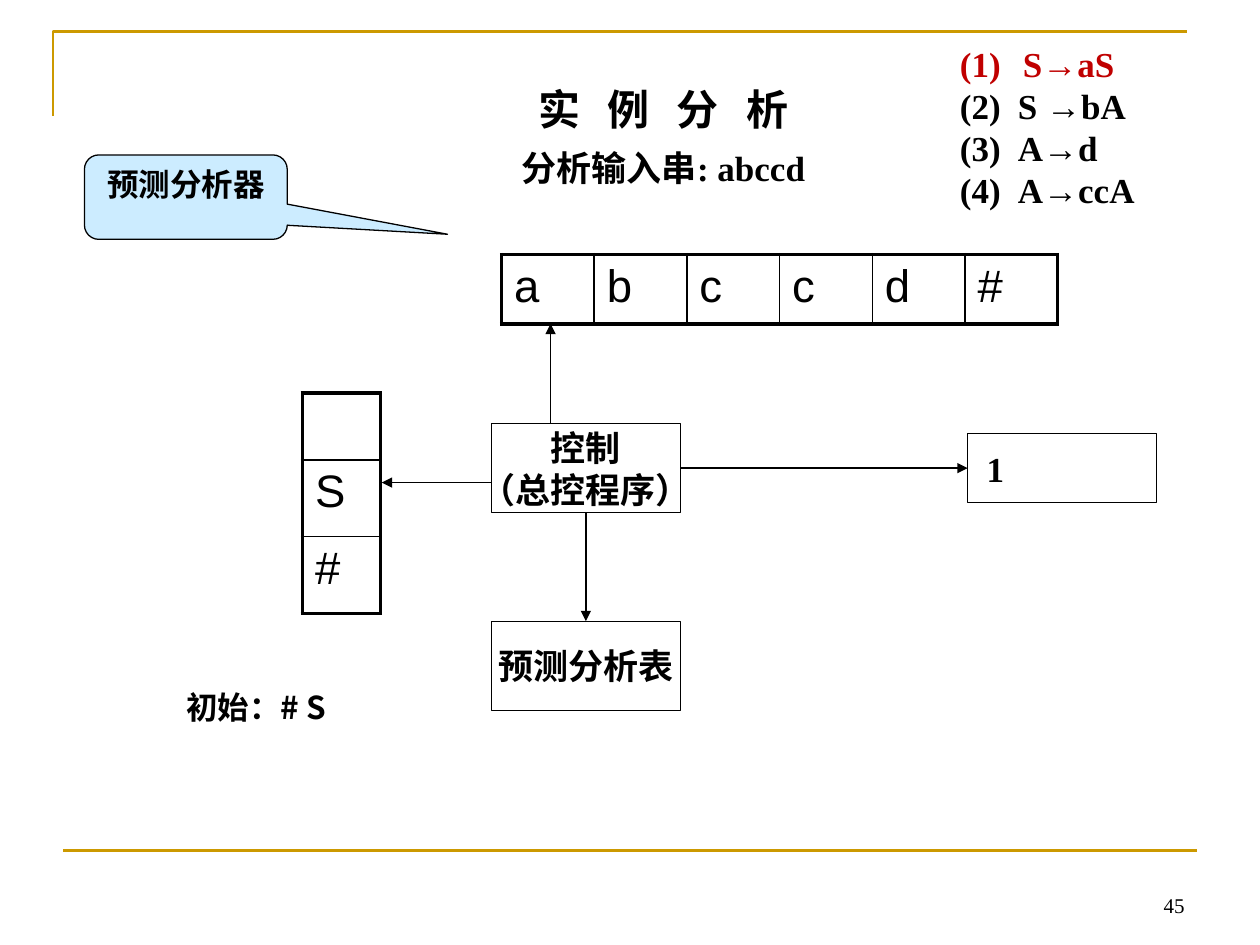
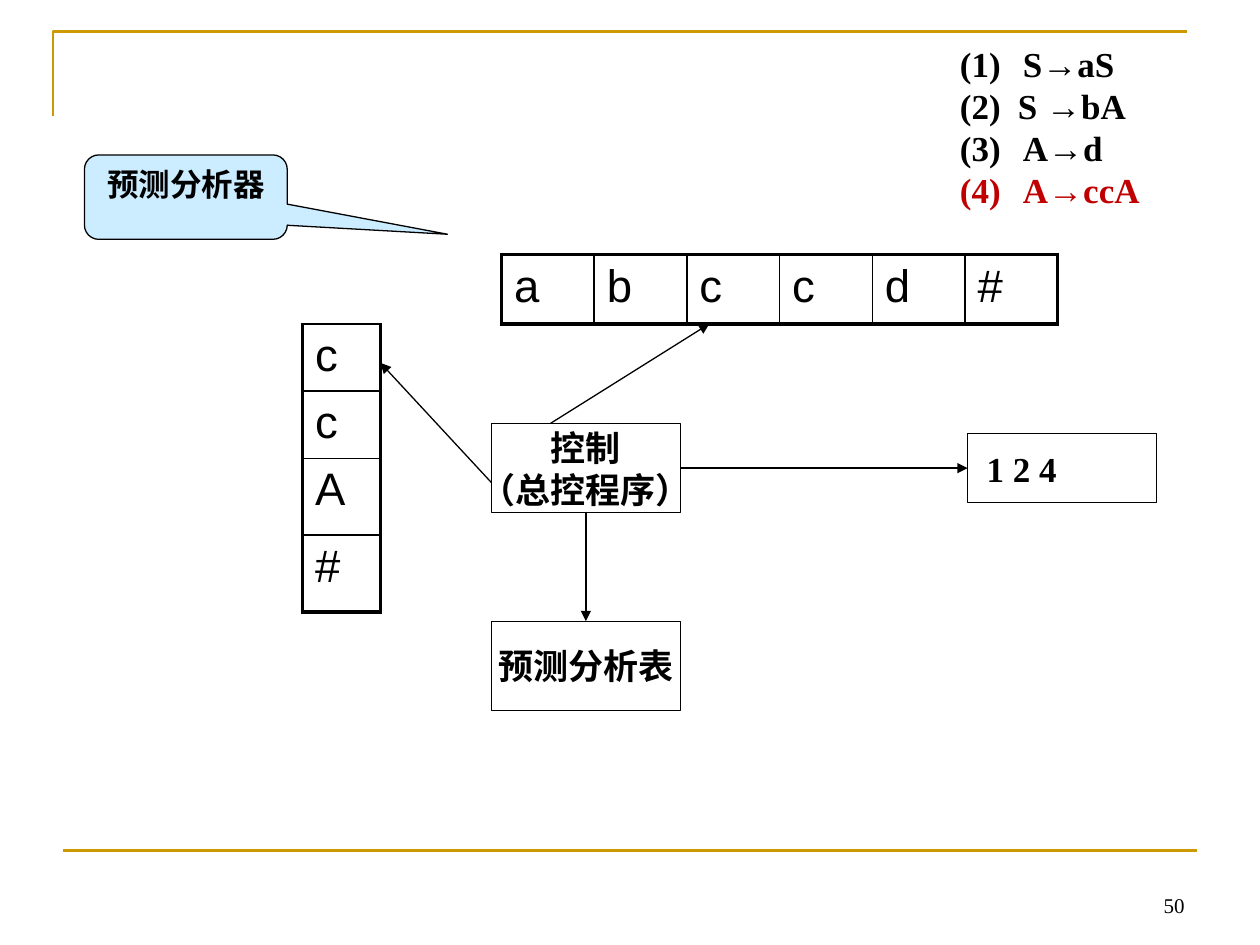
from dataclasses import dataclass

from lxml import etree
from pptx import Presentation
from pptx.dml.color import RGBColor
from pptx.enum.shapes import MSO_CONNECTOR, MSO_SHAPE
from pptx.enum.text import MSO_ANCHOR, PP_ALIGN
from pptx.oxml.ns import qn
from pptx.util import Inches, Pt

LEFT, CENTER, RIGHT = PP_ALIGN.LEFT, PP_ALIGN.CENTER, PP_ALIGN.RIGHT
TOP, MIDDLE, BOTTOM = MSO_ANCHOR.TOP, MSO_ANCHOR.MIDDLE, MSO_ANCHOR.BOTTOM
RECTANGLE = MSO_SHAPE.RECTANGLE
CALLOUT = MSO_SHAPE.ROUNDED_RECTANGULAR_CALLOUT
STRAIGHT = MSO_CONNECTOR.STRAIGHT
SIDE_TOP, SIDE_LEFT, SIDE_BOTTOM, SIDE_RIGHT = range(4)

WIDTH, HEIGHT = Inches(10), Inches(7.5)
COLUMNS, ROWS = 100, 75
SERIF, SANS, CJK = "Times New Roman", "Arial", "Noto Sans CJK SC"
BLACK, WHITE, GOLD, RED, PALE_BLUE = "000000", "FFFFFF", "CC9900", "C00000", "CCECFF"
THIN, INNER, OUTER, FRAME = 0.75, 1, 2.25, 1.5
TAPE = ["a", "b", "c", "c", "d", "#"]


@dataclass
class Area:
    """A place on the grid, in columns and rows."""
    left: float
    top: float
    width: float
    height: float

    def emu(self) -> tuple:
        """Return left, top, width and height as lengths."""
        return col(self.left), row(self.top), col(self.width), row(self.height)


@dataclass
class Line:
    """One paragraph and its format."""
    text: str
    size: float = 20
    color: str = BLACK
    font: str = SERIF
    bold: bool = True
    align: PP_ALIGN = LEFT
    spacing: float = 1.0
    tracking: float = 0
    number: int = 0
    tab: float = 0


@dataclass
class Step:
    """One state of the parser."""
    page_number: str
    grammar: list
    stack: list
    stack_top: float
    stack_rows: list
    stack_edge: float
    output: str
    tape_head: tuple
    stack_head: tuple


def col(count: float) -> int:
    """Return the width of grid columns."""
    return round(WIDTH * count / COLUMNS)


def row(count: float) -> int:
    """Return the height of grid rows."""
    return round(HEIGHT * count / ROWS)


def color(code: str) -> RGBColor:
    """Turn a hex string into a colour."""
    return RGBColor.from_string(code)


def assign(target: object, values: dict) -> None:
    """Set attributes from a dict of values."""
    for name, value in values.items():
        setattr(target, name, value)


def child(parent, tag: str, **values):
    """Append an XML element with attributes."""
    return etree.SubElement(parent, qn(tag), {key: str(value) for key, value in values.items()})


def stroke(line, code: str, weight: float) -> None:
    """Colour and size an outline."""
    line.color.rgb = color(code)
    line.width = Pt(weight)


def write(frame, lines: list, **frame_values) -> None:
    """Fill a text frame with formatted paragraphs."""
    assign(frame, frame_values)
    for index, line in enumerate(lines):
        para = frame.add_paragraph() if index else frame.paragraphs[0]
        assign(para, {"alignment": line.align, "line_spacing": line.spacing})
        props = para._p.get_or_add_pPr()
        if line.number:
            props.set("marL", str(Inches(0.5)))
            props.set("indent", str(-Inches(0.5)))
            child(props, "a:buAutoNum", type="arabicParenBoth", startAt=line.number)
        if line.tab:
            child(child(props, "a:tabLst"), "a:tab", pos=Inches(line.tab), algn="l")
        if line.tracking:
            props.set("marR", str(Inches(0.1)))
        span = para.add_run()
        span.text = line.text
        assign(span.font, {"size": Pt(line.size), "bold": line.bold, "name": line.font})
        span.font.color.rgb = color(line.color)
        span_props = span.font._element
        child(span_props, "a:ea", typeface=CJK)
        if line.tracking:
            span_props.set("spc", str(round(line.tracking * 100)))


def add_text(page, area: Area, lines: list, anchor: MSO_ANCHOR = TOP) -> None:
    """Add a wrapping text box."""
    box = page.shapes.add_textbox(*area.emu())
    write(box.text_frame, lines, word_wrap=True, vertical_anchor=anchor)


def add_box(page, area: Area, lines: list, kind: MSO_SHAPE = RECTANGLE,
            fill: str = WHITE, **frame_values):
    """Add an outlined shape with text."""
    box = page.shapes.add_shape(kind, *area.emu())
    box.shadow.inherit = False
    box.fill.solid()
    box.fill.fore_color.rgb = color(fill)
    stroke(box.line, BLACK, THIN)
    write(box.text_frame, lines, **frame_values)
    return box


def add_line(page, start: tuple, end: tuple, code: str = BLACK,
             weight: float = THIN, arrow: bool = True):
    """Add a straight line, with an arrowhead at its end if asked."""
    line = page.shapes.add_connector(STRAIGHT, col(start[0]), row(start[1]), col(end[0]), row(end[1]))
    stroke(line.line, code, weight)
    props = line._element.spPr
    if arrow:
        child(props.find(qn("a:ln")), "a:tailEnd", type="triangle")
    child(props, "a:effectLst")
    return line


def join(page, source, source_side: int, target, target_side: int) -> None:
    """Connect the middles of two box sides with an arrow."""
    arrow = add_line(page, (0, 0), (1, 1))
    arrow.begin_connect(source, source_side)
    arrow.end_connect(target, target_side)


def add_cells(page, left: float, top: float, widths: list, heights: list,
              symbols: list, top_edge: float = OUTER) -> None:
    """Add a table of symbols with a heavy outer border."""
    area = Area(left, top, sum(widths), sum(heights))
    table = page.shapes.add_table(len(heights), len(widths), *area.emu()).table
    assign(table, {"first_row": False, "horz_banding": False})
    for column, width in zip(table.columns, widths):
        column.width = col(width)
    for line, height in zip(table.rows, heights):
        line.height = row(height)
    last_row, last_column = len(heights) - 1, len(widths) - 1
    for index, symbol in enumerate(symbols):
        y, x = divmod(index, len(widths))
        cell = table.cell(y, x)
        if symbol:
            write(cell.text_frame, [Line(symbol, 26, font=SANS, bold=False)])
        edges = {
            "a:lnL": INNER if x else OUTER,
            "a:lnR": INNER if x < last_column else OUTER,
            "a:lnT": INNER if y else top_edge,
            "a:lnB": INNER if y < last_row else OUTER,
        }
        props = cell._tc.get_or_add_tcPr()
        for tag, weight in edges.items():
            border = child(props, tag, w=Pt(weight))
            child(child(border, "a:solidFill"), "a:srgbClr", val=BLACK)
        cell.fill.background()


def add_frame(page, page_number: str) -> None:
    """Draw the gold rules and the page number."""
    builder = page.shapes.build_freeform(col(4.2), row(9.2))
    builder.add_line_segments([(col(4.2), row(2.5)), (col(94.2), row(2.5))], close=False)
    corner = builder.convert_to_shape()
    corner.shadow.inherit = False
    corner.fill.background()
    stroke(corner.line, GOLD, FRAME)
    add_line(page, (5, 67.5), (95, 67.5), GOLD, FRAME, arrow=False)
    number = Line(page_number, 12, bold=False, align=RIGHT)
    add_text(page, Area(71.7, 68.3, 23.3, 5), [number], BOTTOM)


def add_step(deck, step: Step):
    """Add a slide that shows one parser state."""
    page = deck.slides.add_slide(deck.slide_layouts[6])
    add_frame(page, step.page_number)
    add_cells(page, 39.8, 20.2, [7.36] * len(TAPE), [5.5], TAPE)
    add_cells(page, 24, step.stack_top, [6.2], step.stack_rows, step.stack, step.stack_edge)

    centred = {"word_wrap": False, "vertical_anchor": MIDDLE}
    control = add_box(page, Area(39, 33.6, 15, 7.1),
                      [Line(text, align=CENTER) for text in ("控制", "（总控程序）")], **centred)
    parse_table = add_box(page, Area(39, 49.3, 15, 7.1),
                          [Line("预测分析表", align=CENTER)], **centred)
    output = add_box(page, Area(76.8, 34.4, 15, 5.5), [Line(step.output)],
                     word_wrap=True, vertical_anchor=MIDDLE, margin_left=Inches(0.15))
    join(page, control, SIDE_RIGHT, output, SIDE_LEFT)
    join(page, control, SIDE_BOTTOM, parse_table, SIDE_TOP)
    add_line(page, (43.7, 33.6), step.tape_head)
    add_line(page, (39, 38.3), step.stack_head)

    callout = add_box(page, Area(6.7, 12.3, 16.1, 6.7),
                      [Line("预测分析器", 18, font=CJK, align=CENTER)], CALLOUT, PALE_BLUE,
                      word_wrap=True, vertical_anchor=TOP)
    for index, value in enumerate((1.29, 0.44, 0.17)):
        callout.adjustments[index] = value
    add_text(page, Area(75.2, 2.9, 19.7, 14.5), step.grammar)
    return page


def main() -> None:
    """Build and save the deck."""
    deck = Presentation()
    assign(deck, {"slide_width": WIDTH, "slide_height": HEIGHT})
    second_rule = Line("(2)\tS →bA", tab=0.46)

    first = add_step(deck, Step(
        "45",
        [Line("S→aS", color=RED, number=1), second_rule,
         Line("(3)\tA→d", tab=0.46), Line("(4)\tA→ccA", tab=0.46)],
        ["", "S", "#"], 31.2, [5.3, 6.1, 6.1], OUTER, "1", (43.7, 25.7), (30.3, 38.3)))
    add_text(first, Area(38.2, 4.9, 29.9, 10.2), [
        Line("实 例 分 析", 24, align=CENTER, spacing=1.3, tracking=5.1),
        Line("分析输入串: abccd", align=CENTER, spacing=1.3)])
    add_text(first, Area(13.8, 53.2, 18.1, 4.4), [Line("初始：# S", 18, font=CJK, spacing=1.3)])

    add_step(deck, Step(
        "50",
        [Line("S→aS", number=1), second_rule,
         Line("A→d", number=3), Line("A→ccA", color=RED, number=4)],
        ["c", "c", "A", "#"], 25.7, [5.3, 5.3, 6.1, 6.1], INNER, "1 2 4",
        (56.3, 25.7), (30.2, 28.8)))
    deck.save("out.pptx")


if __name__ == "__main__":
    main()
